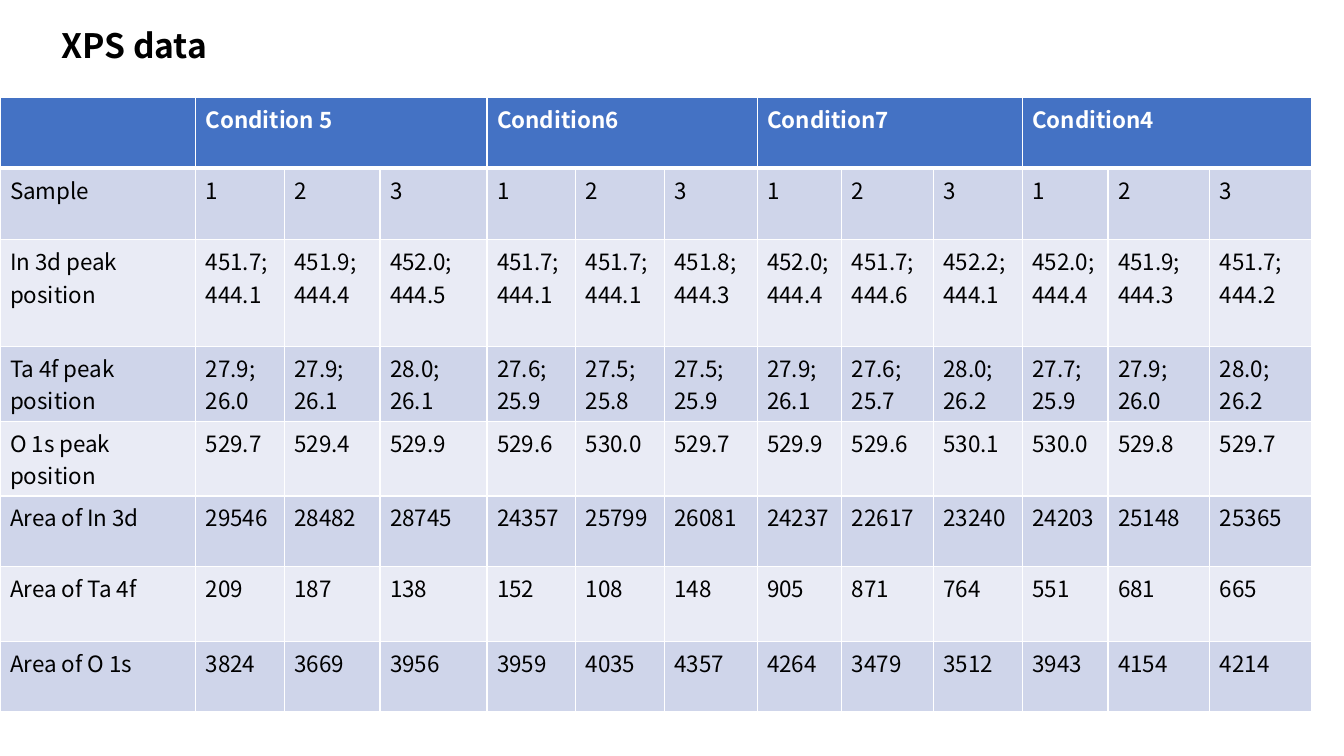
"""Build the XPS data slide with its table of four conditions."""
from lxml import etree
from pptx import Presentation
from pptx.dml.color import RGBColor
from pptx.oxml.ns import qn
from pptx.util import Inches, Pt

TITLE = "XPS data"
FONT = "Noto Sans CJK SC"
CONDITIONS = ["Condition 5", "Condition6", "Condition7", "Condition4"]
SAMPLES = 3
ROWS = [
    ("Sample", ["1", "2", "3"] * len(CONDITIONS)),
    ("In 3d peak position", [
        "451.7;\n444.1", "451.9;\n444.4", "452.0;\n444.5",
        "451.7;\n444.1", "451.7;\n444.1", "451.8;\n444.3",
        "452.0;\n444.4", "451.7;\n444.6", "452.2;\n444.1",
        "452.0;\n444.4", "451.9;\n444.3", "451.7;\n444.2"]),
    ("Ta 4f peak position", [
        "27.9;\n26.0", "27.9;\n26.1", "28.0;\n26.1",
        "27.6;\n25.9", "27.5;\n25.8", "27.5;\n25.9",
        "27.9;\n26.1", "27.6;\n25.7", "28.0;\n26.2",
        "27.7;\n25.9", "27.9;\n26.0", "28.0;\n26.2"]),
    ("O 1s peak position", [
        "529.7", "529.4", "529.9", "529.6", "530.0", "529.7",
        "529.9", "529.6", "530.1", "530.0", "529.8", "529.7"]),
    ("Area of In 3d", [
        "29546", "28482", "28745", "24357", "25799", "26081",
        "24237", "22617", "23240", "24203", "25148", "25365"]),
    ("Area of Ta 4f", [
        "209", "187", "138", "152", "108", "148",
        "905", "871", "764", "551", "681", "665"]),
    ("Area of O 1s", [
        "3824", "3669", "3956", "3959", "4035", "4357",
        "4264", "3479", "3512", "3943", "4154", "4214"]),
]
COL_WIDTHS = [1.94, 0.88, 0.95, 1.06, 0.88, 0.88, 0.92, 0.84, 0.91, 0.88, 0.85, 1.01, 1.01]
ROW_HEIGHTS = [0.7, 0.71, 1.06, 0.74, 0.74, 0.7, 0.74, 0.7]
HEADER_FILL, BANDS = "4472C4", ["E9EBF5", "CFD5EA"]
WHITE, BLACK = "FFFFFF", "000000"


def rgb(value):
    return RGBColor.from_string(value)


def set_text(tf, text, size, color, bold):
    tf.text = text
    for p in tf.paragraphs:
        p.font.name, p.font.size, p.font.bold = FONT, Pt(size), bold
        p.font.color.rgb = rgb(color)


def set_borders(cell, top, bottom):
    tc_pr = cell._tc.get_or_add_tcPr()
    widths = {"a:lnL": 1, "a:lnR": 1, "a:lnT": top, "a:lnB": bottom}
    for i, (tag, width) in enumerate(widths.items()):
        ln = etree.Element(qn(tag), w=str(Pt(width)))
        fill = etree.SubElement(ln, qn("a:solidFill"))
        etree.SubElement(fill, qn("a:srgbClr"), val=WHITE)
        tc_pr.insert(i, ln)


def add_data_table(s):
    header = [""]
    for condition in CONDITIONS:
        header += [condition] + [""] * (SAMPLES - 1)
    grid = [header] + [[label] + values for label, values in ROWS]
    table = s.shapes.add_table(
        len(grid), len(header), 0, Inches(0.97),
        Inches(sum(COL_WIDTHS)), Inches(sum(ROW_HEIGHTS))).table
    for col, width in zip(table.columns, COL_WIDTHS):
        col.width = Inches(width)
    for row, height in zip(table.rows, ROW_HEIGHTS):
        row.height = Inches(height)
    for r, values in enumerate(grid):
        is_header = r == 0
        for c, text in enumerate(values):
            cell = table.cell(r, c)
            cell.fill.solid()
            cell.fill.fore_color.rgb = rgb(HEADER_FILL if is_header else BANDS[r % 2])
            set_borders(cell, 3 if r == 1 else 1, 3 if is_header else 1)
            set_text(cell.text_frame, text, 16, WHITE if is_header else BLACK, is_header)
    for c in range(1, len(header), SAMPLES):
        table.cell(0, c).merge(table.cell(0, c + SAMPLES - 1))


def main():
    prs = Presentation()
    prs.slide_width, prs.slide_height = Inches(13.33), Inches(7.5)
    s = prs.slides.add_slide(prs.slide_layouts[6])
    add_data_table(s)
    tf = s.shapes.add_textbox(Inches(0.51), Inches(0.2), Inches(2.6), Inches(0.5)).text_frame
    tf.word_wrap = True
    set_text(tf, TITLE, 24, BLACK, True)
    prs.save("out.pptx")


if __name__ == "__main__":
    main()
